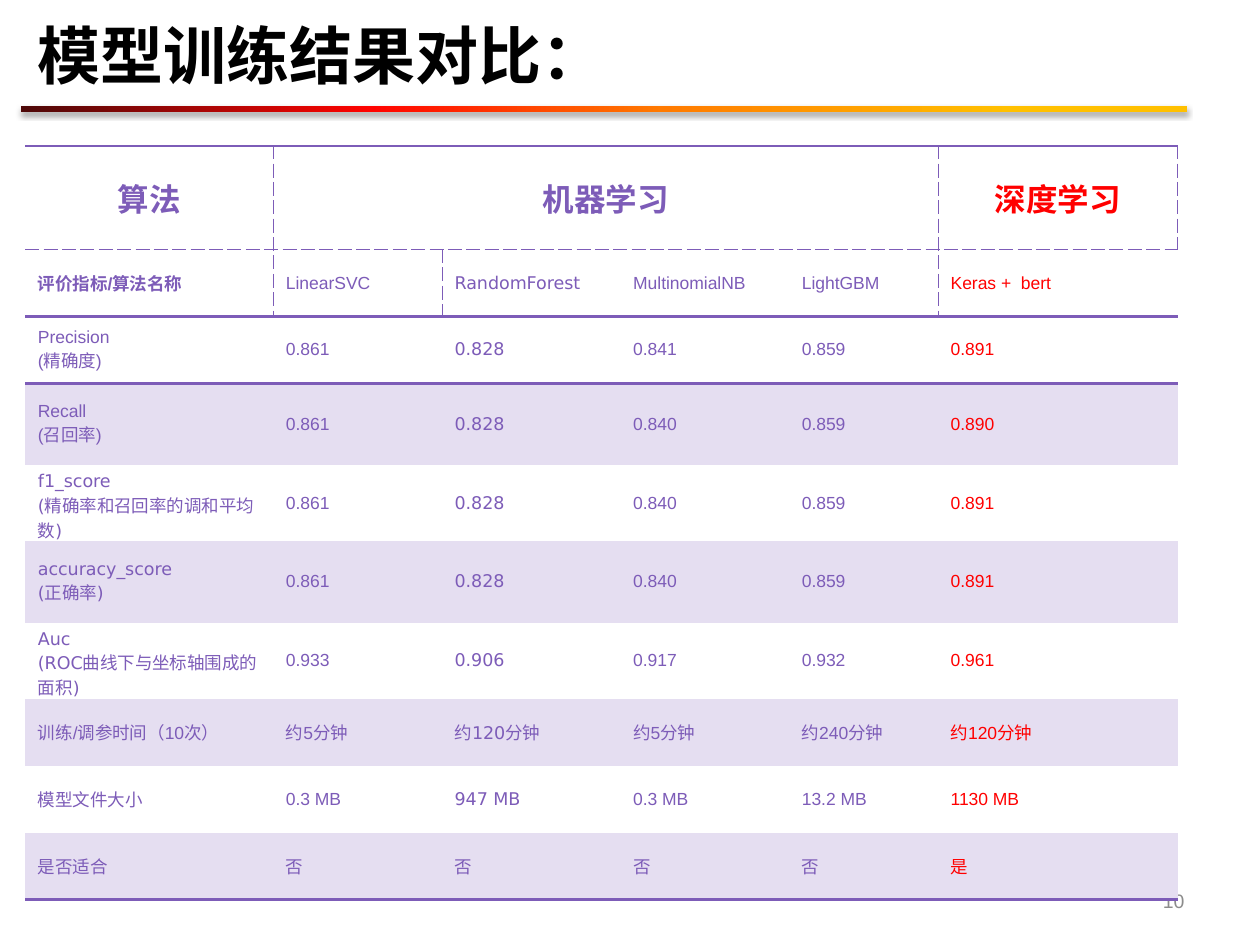
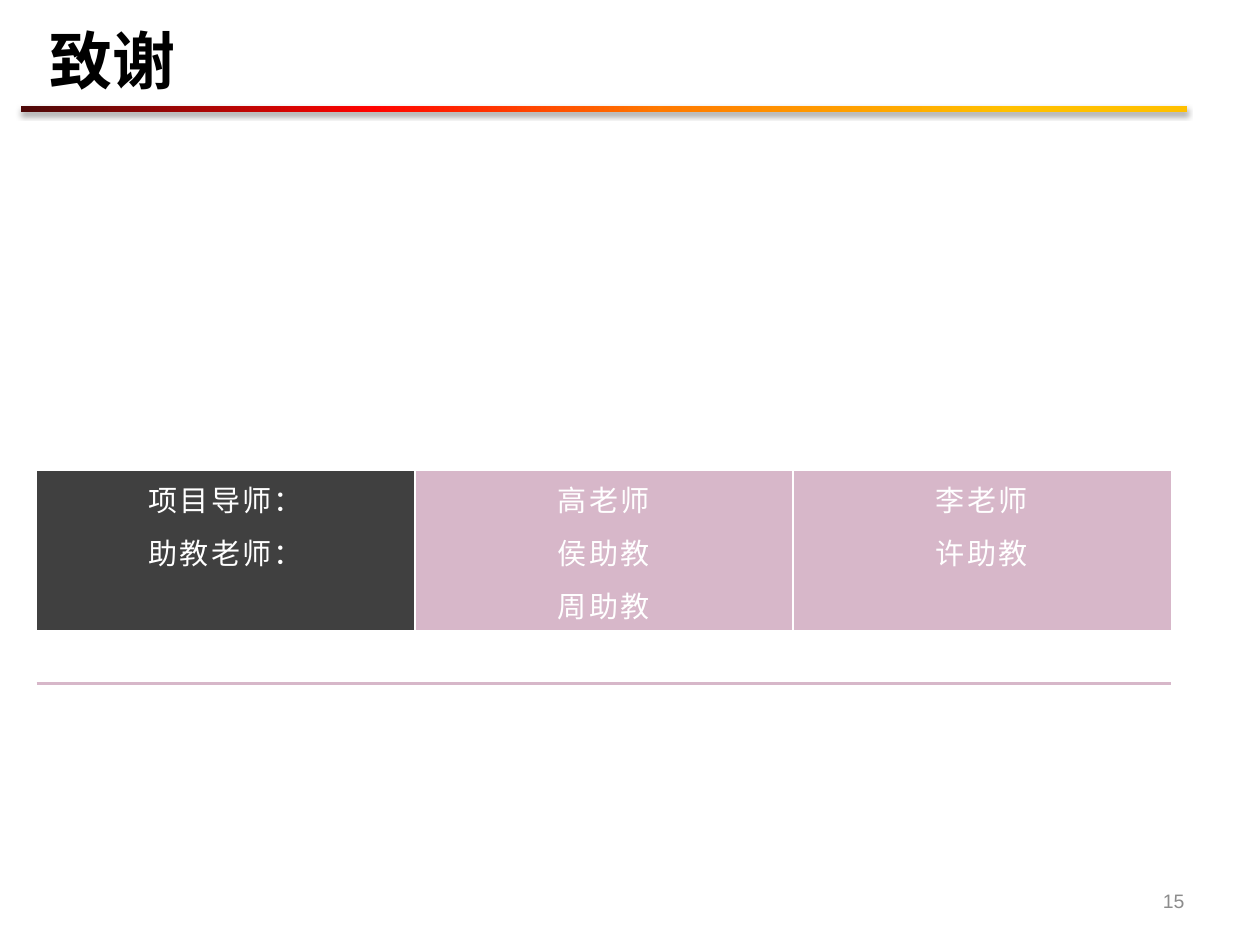
from dataclasses import dataclass

from lxml import etree
from pptx import Presentation
from pptx.dml.color import RGBColor
from pptx.enum.lang import MSO_LANGUAGE_ID
from pptx.enum.shapes import MSO_SHAPE
from pptx.enum.text import MSO_ANCHOR, MSO_AUTO_SIZE, PP_ALIGN
from pptx.oxml import parse_xml
from pptx.oxml.ns import nsdecls, qn
from pptx.util import Cm, Pt


@dataclass(frozen=True)
class Theme:
    font: str = "Arial"
    alternate_font: str = "DejaVu Sans"
    black: str = "000000"
    white: str = "FFFFFF"
    gray: str = "8C8C8C"
    charcoal: str = "404040"
    purple: str = "7D5CB8"
    lavender: str = "E5DEF1"
    red: str = "FF0000"
    pink: str = "D7B7C9"
    band_stops: tuple = ((15, "FFC000"), (45, "FF7A00"), (70, "FF0300"), (100, "4D0808"))
    title_size: float = 36
    header_size: float = 18
    cell_size: float = 10
    thanks_size: float = 16.6
    number_size: float = 11.1
    thin: float = 0.5
    thick: float = 1.5


THEME = Theme()
NO_TABLE_STYLE = "{2D5ABB26-0587-4C30-8999-92F81FD0307C}"
SOLID = (THEME.purple, THEME.thick, "solid")
DASHED = (THEME.purple, THEME.thin, "dash")
DIVIDER = (THEME.white, THEME.thick, "solid")
UNDERLINE = (THEME.pink, THEME.thick, "solid")

RESULTS = [
    ["算法", "机器学习", "", "", "", "深度学习"],
    ["评价指标/算法名称", "LinearSVC", "RandomForest", "MultinomialNB", "LightGBM", "Keras +  bert"],
    ["Precision\n(精确度)", "0.861", "0.828", "0.841", "0.859", "0.891"],
    ["Recall\n(召回率)", "0.861", "0.828", "0.840", "0.859", "0.890"],
    ["f1_score\n(精确率和召回率的调和平均数)", "0.861", "0.828", "0.840", "0.859", "0.891"],
    ["accuracy_score\n(正确率)", "0.861", "0.828", "0.840", "0.859", "0.891"],
    ["Auc\n(ROC曲线下与坐标轴围成的面积)", "0.933", "0.906", "0.917", "0.932", "0.961"],
    ["训练/调参时间（10次）", "约5分钟", "约120分钟", "约5分钟", "约240分钟", "约120分钟"],
    ["模型文件大小", "0.3 MB", "947 MB", "0.3 MB", "13.2 MB", "1130 MB"],
    ["是否适合", "否", "否", "否", "否", "是"],
]
THANKS = [
    ["项目导师：", "高老师", "李老师"],
    ["助教老师：", "侯助教", "许助教"],
    ["", "周助教", ""],
    ["", "", ""],
]


def write_text(frame, text, size, color, font=THEME.font, bold=False,
               align=PP_ALIGN.LEFT, spacing=None):
    for index, line in enumerate(text.split("\n")):
        para = frame.paragraphs[0] if index == 0 else frame.add_paragraph()
        para.alignment = align
        span = para.add_run()
        span.text = line
        span.font.name = font
        span.font.size = Pt(size)
        span.font.bold = bold
        span.font.color.rgb = RGBColor.from_string(color)
        span.font.language_id = MSO_LANGUAGE_ID.SIMPLIFIED_CHINESE
        if spacing:
            span.font._element.set("spc", str(spacing))


def add_master_band(deck, page):
    band = page.shapes.add_shape(MSO_SHAPE.RECTANGLE, Cm(0.43), Cm(2.13), Cm(23.5), Cm(0.13))
    band.line.fill.background()
    band.fill.gradient()
    band.fill.gradient_angle = 180
    stops = band.element.find(".//" + qn("a:gsLst"))
    for stop in list(stops):
        stops.remove(stop)
    for position, color in THEME.band_stops:
        stop = etree.SubElement(stops, qn("a:gs"), pos=str(position * 1000))
        etree.SubElement(stop, qn("a:srgbClr"), val=color)
    band.shadow.inherit = False
    band.element.find(".//" + qn("a:effectLst")).append(parse_xml(
        f'<a:outerShdw {nsdecls("a")} blurRad="{Pt(3.1)}" dist="{Pt(1.8)}" dir="5400000" '
        f'rotWithShape="0"><a:srgbClr val="{THEME.black}"><a:alpha val="35000"/>'
        '</a:srgbClr></a:outerShdw>'))
    deck.slide_master.element.cSld.spTree.insert(2, band.element)


def set_title(page, text, left, top, width):
    title = page.shapes.title
    title.left, title.top, title.width, title.height = Cm(left), Cm(top), Cm(width), Cm(2)
    frame = title.text_frame
    frame.auto_size = MSO_AUTO_SIZE.NONE
    frame.vertical_anchor = MSO_ANCHOR.MIDDLE
    write_text(frame, text, THEME.title_size, THEME.black, bold=True)


def add_page_number(page, number):
    box = page.shapes.add_textbox(Cm(18.21), Cm(17.65), Cm(5.92), Cm(1.02))
    box.text_frame.word_wrap = True
    box.text_frame.vertical_anchor = MSO_ANCHOR.MIDDLE
    write_text(box.text_frame, str(number), THEME.number_size, THEME.gray, align=PP_ALIGN.RIGHT)


def add_plain_table(page, left, top, widths, heights):
    frame = page.shapes.add_table(len(heights), len(widths), Cm(left), Cm(top),
                                  Cm(sum(widths)), Cm(sum(heights)))
    table = frame.table
    table.first_row = table.horz_banding = False
    frame.element.find(".//" + qn("a:tableStyleId")).text = NO_TABLE_STYLE
    for column, width in zip(table.columns, widths):
        column.width = Cm(width)
    for row, height in zip(table.rows, heights):
        row.height = Cm(height)
    return table


def format_cell(cell, fill, borders):
    cell.fill.solid()
    cell.fill.fore_color.rgb = RGBColor.from_string(fill)
    properties = cell._tc.get_or_add_tcPr()
    sides = [side for side in "LRTB" if side in borders]
    for index, side in enumerate(sides):
        color, width, dash = borders[side]
        properties.insert(index, parse_xml(
            f'<a:ln{side} {nsdecls("a")} w="{Pt(width)}"><a:solidFill><a:srgbClr val="{color}"/>'
            f'</a:solidFill><a:prstDash val="{dash}"/></a:ln{side}>'))


def result_borders(row, column):
    borders = {}
    if row <= 2:
        borders["T"] = DASHED if row == 1 else SOLID
    if row in (0, 1, len(RESULTS) - 1):
        borders["B"] = DASHED if row == 0 else SOLID
    if row < 2 and column in (0, 4):
        borders["R"] = DASHED
    if row < 2 and column in (1, 5):
        borders["L"] = DASHED
    return borders


def result_font(row, column, text):
    alternate = column == 2 or (column == 0 and text in ("f1_score", "accuracy_score", "Auc"))
    return THEME.alternate_font if alternate and row > 0 else THEME.font


def add_results_table(page):
    heights = [2.08, 1.35, 1.35, 1.65, 1.35, 1.65, 1.35, 1.35, 1.35, 1.35]
    table = add_plain_table(page, 0.51, 2.95, [5, 3.4, 3.6, 3.4, 3, 4.83], heights)
    table.cell(0, 1).merge(table.cell(0, 4))
    for row, values in enumerate(RESULTS):
        fill = THEME.lavender if row > 2 and row % 2 else THEME.white
        for column, text in enumerate(values):
            cell = table.cell(row, column)
            format_cell(cell, fill, result_borders(row, column))
            cell.vertical_anchor = MSO_ANCHOR.MIDDLE
            if text:
                write_text(cell.text_frame, text,
                           THEME.header_size if row == 0 else THEME.cell_size,
                           THEME.red if column == 5 else THEME.purple,
                           result_font(row, column, text.split("\n")[0]),
                           bold=row == 0 or (row, column) == (1, 0),
                           align=PP_ALIGN.CENTER if row == 0 else PP_ALIGN.LEFT)


def add_thanks_table(page):
    table = add_plain_table(page, 0.74, 9.5, [7.62] * 3, [1.07] * 4)
    last_row = len(THANKS) - 1
    for row, values in enumerate(THANKS):
        for column, text in enumerate(values):
            cell = table.cell(row, column)
            fill = THEME.charcoal if column == 0 else THEME.pink
            borders = {}
            if column > 0:
                borders["L"] = DIVIDER
            if column < 2:
                borders["R"] = DIVIDER
            if row == last_row:
                fill = THEME.white
                borders["B"] = UNDERLINE
            format_cell(cell, fill, borders)
            if text:
                write_text(cell.text_frame, text, THEME.thanks_size, THEME.white,
                           align=PP_ALIGN.CENTER, spacing=130)


def main():
    deck = Presentation()
    deck.slide_width, deck.slide_height = Cm(25.4), Cm(19.05)
    title_only = deck.slide_layouts[5]

    results = deck.slides.add_slide(title_only)
    add_master_band(deck, results)
    set_title(results, "模型训练结果对比：", 0.51, 0.1, 24.33)
    add_page_number(results, 10)
    add_results_table(results)

    thanks = deck.slides.add_slide(title_only)
    set_title(thanks, "致谢", 0.74, 0.2, 21.16)
    add_page_number(thanks, 15)
    add_thanks_table(thanks)

    deck.save("out.pptx")


main()
